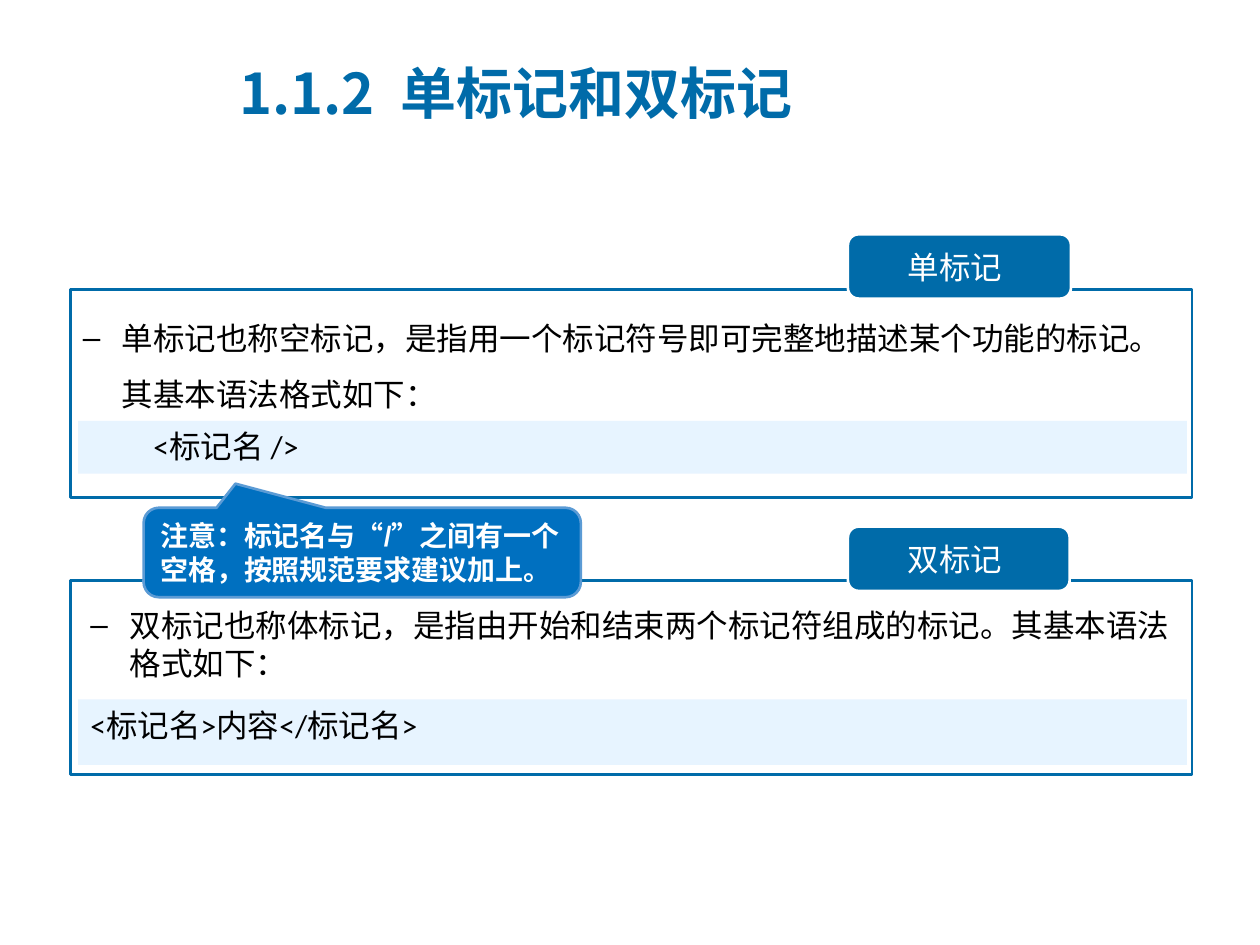
from pptx import Presentation
from pptx.dml.color import RGBColor
from pptx.enum import shapes, text
from pptx.oxml.ns import qn
from pptx.util import Inches, Pt
from lxml import etree

BLUE = RGBColor(0x00, 0x6B, 0xA9)
PALE = RGBColor(0xE7, 0xF4, 0xFF)
NOTE = RGBColor(0x00, 0x70, 0xC0)
NOTE_EDGE = RGBColor(0x5B, 0x9B, 0xD5)
WHITE = RGBColor(0xFF, 0xFF, 0xFF)
BLACK = RGBColor(0, 0, 0)
CJK = "Noto Sans CJK SC"

TITLE = "1.1.2  单标记和双标记"
CALLOUT = "注意：标记名与“/”之间有一个空格，按照规范要求建议加上。"
SECTIONS = [
    dict(label="单标记", frame=(0.56, 2.3, 8.9, 1.65), tab=(6.73, 1.86, 1.77, 0.51),
         body="单标记也称空标记，是指用一个标记符号即可完整地描述某个功能的标记。其基本语法格式如下：",
         body_box=(0.56, 2.33, 8.9, 1.01), spacing=1.5,
         code="<标记名 />", bar=(0.62, 3.34, 8.8, 0.42), indent=(0.81, -0.31)),
    dict(label="双标记", frame=(0.56, 4.61, 8.9, 1.54), tab=(6.73, 4.18, 1.76, 0.51),
         body="双标记也称体标记，是指由开始和结束两个标记符组成的标记。其基本语法格式如下：",
         body_box=(0.62, 4.76, 8.9, 0.71), spacing=1,
         code="<标记名>内容</标记名>", bar=(0.62, 5.55, 8.8, 0.52), indent=(0.38, -0.38)),
]

prs = Presentation()
prs.slide_width, prs.slide_height = Inches(10), Inches(7.5)
s = prs.slides.add_slide(prs.slide_layouts[6])


def add_box(kind, box, fill, line=None):
    sp = s.shapes.add_shape(kind, *map(Inches, box))
    sp.shadow.inherit = False
    sp.fill.solid()
    sp.fill.fore_color.rgb = fill
    if line is None:
        sp.line.fill.background()
    else:
        sp.line.color.rgb = line
        sp.line.width = Pt(1.5)
    return sp


def add_textbox(box):
    return s.shapes.add_textbox(*map(Inches, box))


def write(sp, words, size, font, color, bold=False, indent=None, bullet=None,
          spacing=1, anchor=text.MSO_ANCHOR.TOP, align=text.PP_ALIGN.LEFT):
    tf = sp.text_frame
    tf.word_wrap = True
    tf.vertical_anchor = anchor
    p = tf.paragraphs[0]
    p.alignment = align
    p.line_spacing = spacing
    pPr = p._p.get_or_add_pPr()
    if indent:
        pPr.set("marL", str(Inches(indent[0])))
        pPr.set("indent", str(Inches(indent[1])))
    if bullet:
        etree.SubElement(pPr, qn("a:buFont")).set("typeface", font)
        etree.SubElement(pPr, qn("a:buChar")).set("char", bullet)
    r = p.add_run()
    r.text = words
    r.font.size, r.font.name, r.font.bold = Pt(size), font, bold
    r.font.color.rgb = color
    etree.SubElement(r._r.get_or_add_rPr(), qn("a:ea")).set("typeface", CJK)


RECT = shapes.MSO_SHAPE.RECTANGLE
MIDDLE = text.MSO_ANCHOR.MIDDLE

for sec in reversed(SECTIONS):
    frame = add_box(RECT, sec["frame"], WHITE, BLUE)
    color = frame.fill._xPr.find(qn("a:solidFill"))[0]
    etree.SubElement(color, qn("a:alpha")).set("val", "90000")

for sec in SECTIONS:
    write(add_textbox(sec["body_box"]), sec["body"], 18, "Arial", BLACK,
          indent=(0.31, -0.31), bullet="–", spacing=sec["spacing"])
    write(add_box(RECT, sec["bar"], PALE), sec["code"], 18, "Calibri", BLACK,
          indent=sec["indent"])
    tab = add_box(shapes.MSO_SHAPE.ROUNDED_RECTANGLE, sec["tab"], BLUE, WHITE)
    left, top, width, height = sec["tab"]
    write(add_textbox((left, top + 0.06, 1.7, 0.4)), sec["label"], 18, CJK, WHITE,
          align=text.PP_ALIGN.CENTER)

callout = add_box(shapes.MSO_SHAPE.ROUNDED_RECTANGULAR_CALLOUT,
                  (1.14, 4.03, 3.47, 0.71), NOTE, NOTE_EDGE)
for i, value in enumerate((-0.29, -0.77, 0.17)):
    callout.adjustments[i] = value
write(callout, CALLOUT, 16, "Arial", WHITE, bold=True, anchor=MIDDLE)

write(add_textbox((1.8, 0.43, 5.41, 0.61)), TITLE, 32, CJK, BLUE, bold=True,
      indent=(0.62, -0.62), anchor=MIDDLE)

prs.save("out.pptx")
